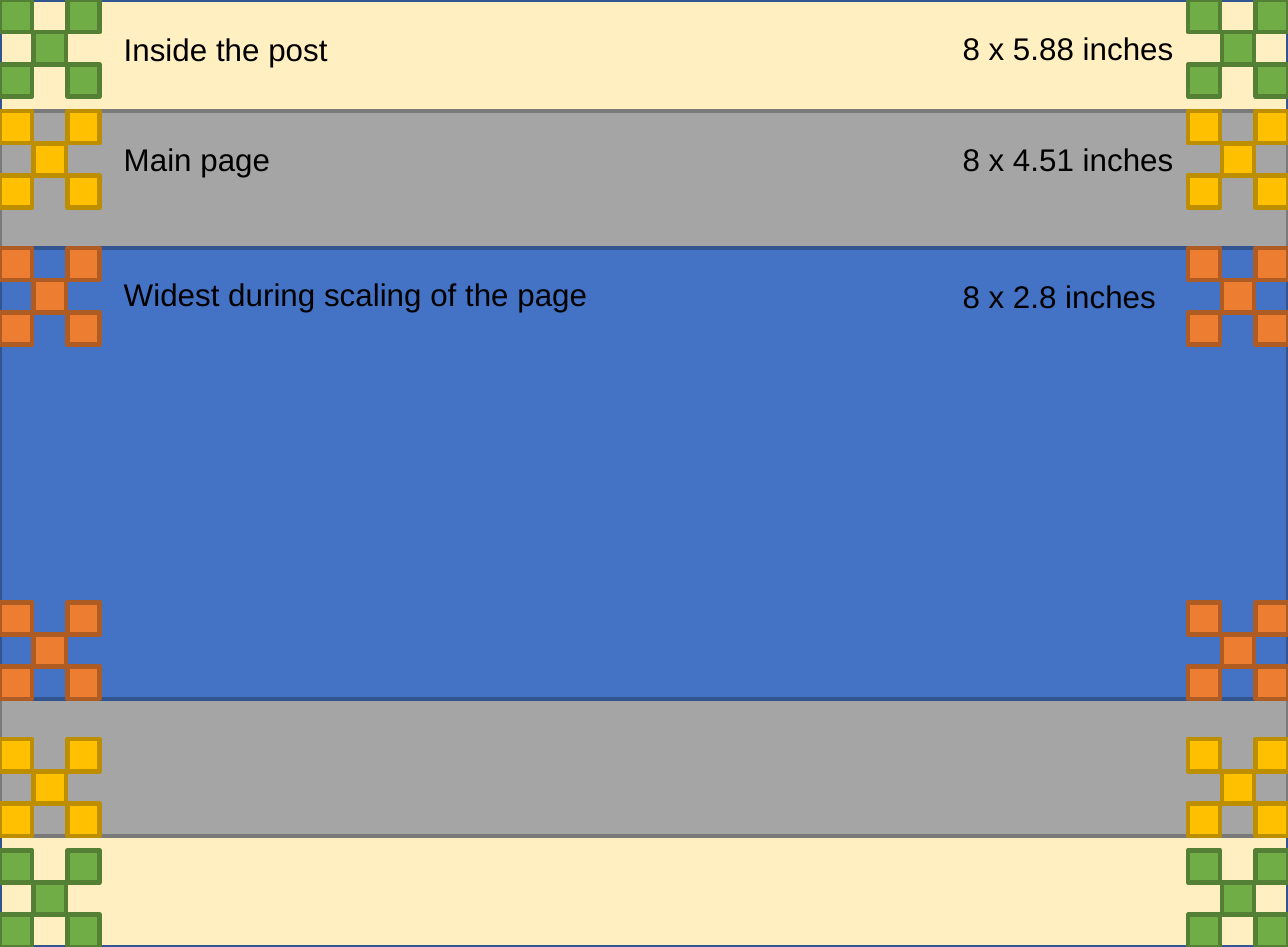
from dataclasses import dataclass
from itertools import product

from lxml import etree
from pptx import Presentation
from pptx.dml.color import RGBColor
from pptx.enum.shapes import MSO_SHAPE
from pptx.enum.text import MSO_AUTO_SIZE
from pptx.oxml.ns import qn
from pptx.util import Inches, Pt

CREAM = RGBColor(0xFF, 0xD9, 0x66)
GREY = RGBColor(0xA5, 0xA5, 0xA5)
DARK_GREY = RGBColor(0x7A, 0x7A, 0x7A)
BLUE = RGBColor(0x44, 0x72, 0xC4)
DARK_BLUE = RGBColor(0x32, 0x54, 0x91)
GREEN = RGBColor(0x70, 0xAD, 0x47)
DARK_GREEN = RGBColor(0x53, 0x80, 0x35)
GOLD = RGBColor(0xFF, 0xC0, 0x00)
DARK_GOLD = RGBColor(0xBD, 0x8E, 0x00)
ORANGE = RGBColor(0xED, 0x7D, 0x31)
DARK_ORANGE = RGBColor(0xAF, 0x5C, 0x24)
BLACK = RGBColor(0x00, 0x00, 0x00)

SLIDE_W, SLIDE_H = 8, 5.88
SQUARE = 0.2
STEP_X, STEP_Y = 0.21, 0.2
MARK_W, MARK_H = 2 * STEP_X + SQUARE, 2 * STEP_Y + SQUARE
# Column and row of each square in a corner mark
MARK_CELLS = [(0, 2), (1, 1), (2, 2), (0, 0), (2, 0)]
LABEL_X, SIZE_X, TEXT_H = 0.67, 5.88, 0.33


@dataclass
class Label:
    text: str
    x: float
    y: float
    w: float


@dataclass
class Band:
    top: float
    height: float
    fill: RGBColor
    line: RGBColor
    mark_fill: RGBColor
    mark_line: RGBColor
    labels: list
    opacity: int = 100


BANDS = [
    Band(0, SLIDE_H, CREAM, DARK_BLUE, GREEN, DARK_GREEN,
         [Label("Inside the post", LABEL_X, 0.14, 1.47),
          Label("8 x 5.88 inches", SIZE_X, 0.13, 1.51)], opacity=40),
    Band(0.69, 4.5, GREY, DARK_GREY, GOLD, DARK_GOLD,
         [Label("Main page", LABEL_X, 0.82, 1.11),
          Label("8 x 4.51 inches", SIZE_X, 0.82, 1.51)]),
    Band(1.54, 2.8, BLUE, DARK_BLUE, ORANGE, DARK_ORANGE,
         [Label("Widest during scaling of the page", LABEL_X, 1.66, 3.09),
          Label("8 x 2.8 inches", SIZE_X, 1.67, 1.41)]),
]


def add_rect(shapes, x, y, w, h, fill, line):
    sp = shapes.add_shape(MSO_SHAPE.RECTANGLE, Inches(x), Inches(y), Inches(w), Inches(h))
    sp.shadow.inherit = False
    sp.fill.solid()
    sp.fill.fore_color.rgb = fill
    sp.line.color.rgb = line
    sp.line.width = Pt(2)
    return sp


def set_opacity(sp, percent):
    color = sp.fill._xPr.find(qn("a:solidFill"))[0]
    etree.SubElement(color, qn("a:alpha")).set("val", str(percent * 1000))


def add_corner_mark(s, x, y, fill, line):
    group = s.shapes.add_group_shape()
    for col, row in MARK_CELLS:
        add_rect(group.shapes, x + col * STEP_X, y + row * STEP_Y, SQUARE, SQUARE, fill, line)


def add_label(s, label):
    box = s.shapes.add_textbox(Inches(label.x), Inches(label.y), Inches(label.w), Inches(TEXT_H))
    tf = box.text_frame
    tf.word_wrap = False
    tf.auto_size = MSO_AUTO_SIZE.SHAPE_TO_FIT_TEXT
    r = tf.paragraphs[0].add_run()
    r.text = label.text
    r.font.name = "Arial"
    r.font.size = Pt(14)
    r.font.color.rgb = BLACK


def add_band(s, band):
    # Full-width area
    sp = add_rect(s.shapes, 0, band.top, SLIDE_W, band.height, band.fill, band.line)
    if band.opacity < 100:
        set_opacity(sp, band.opacity)
    # Marks in its four corners
    lefts = (0, SLIDE_W - MARK_W)
    tops = (band.top, band.top + band.height - MARK_H)
    for x, y in product(lefts, tops):
        add_corner_mark(s, x, y, band.mark_fill, band.mark_line)
    # Name and size
    for label in band.labels:
        add_label(s, label)


def main():
    prs = Presentation()
    prs.slide_width, prs.slide_height = Inches(SLIDE_W), Inches(SLIDE_H)
    s = prs.slides.add_slide(prs.slide_layouts[6])
    for band in BANDS:
        add_band(s, band)
    prs.save("out.pptx")


if __name__ == "__main__":
    main()
